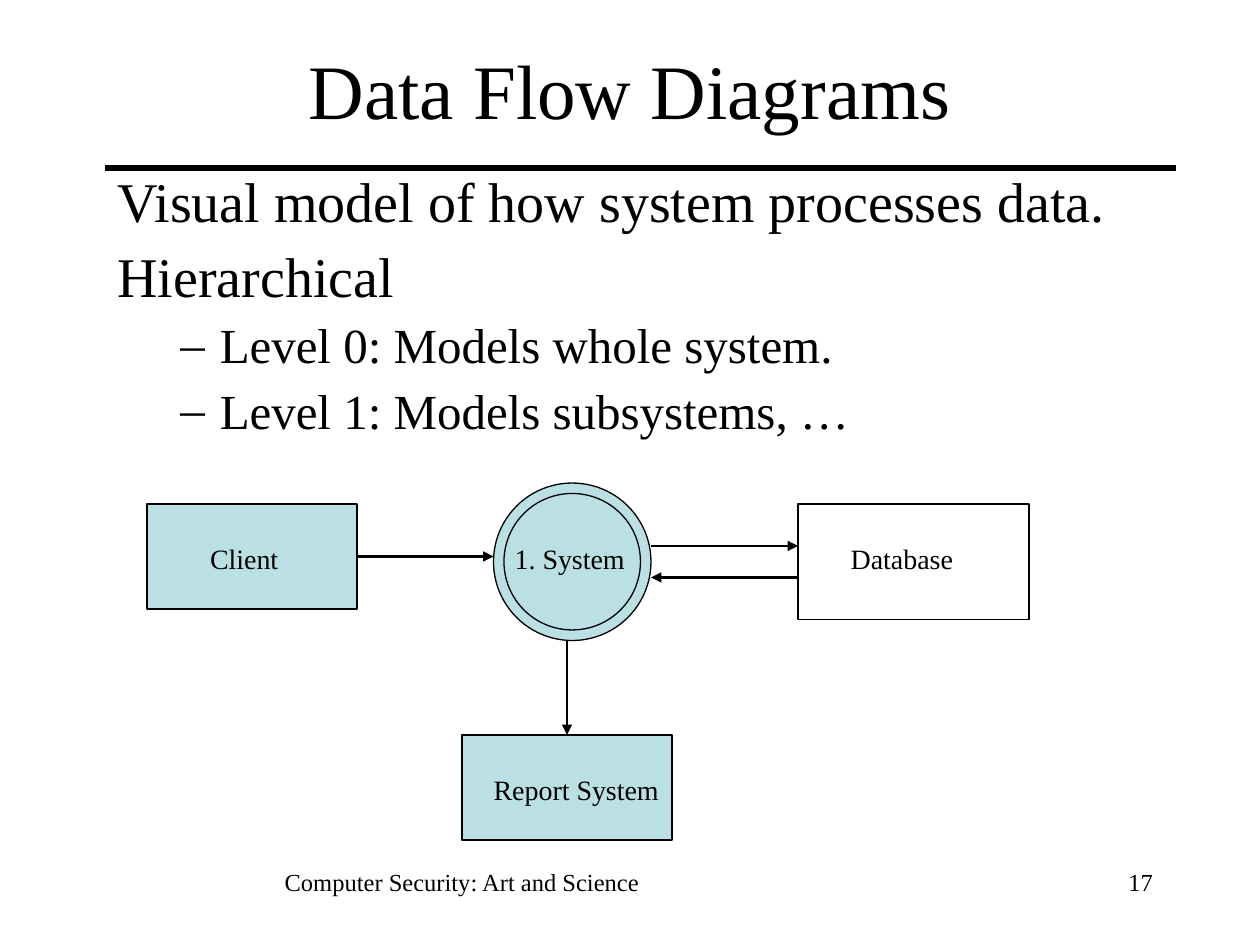
from pptx import Presentation
from pptx.dml.color import RGBColor
from pptx.enum.shapes import MSO_CONNECTOR, MSO_SHAPE
from pptx.enum.text import MSO_ANCHOR, MSO_AUTO_SIZE, PP_ALIGN
from pptx.oxml.ns import qn
from pptx.util import Pt
from lxml import etree

LEFT, CENTER, RIGHT = PP_ALIGN.LEFT, PP_ALIGN.CENTER, PP_ALIGN.RIGHT
TOP, MIDDLE = MSO_ANCHOR.TOP, MSO_ANCHOR.MIDDLE
FIXED, GROW = MSO_AUTO_SIZE.NONE, MSO_AUTO_SIZE.SHAPE_TO_FIT_TEXT
RECT, OVAL = MSO_SHAPE.RECTANGLE, MSO_SHAPE.OVAL
STRAIGHT = MSO_CONNECTOR.STRAIGHT
FONT = "Times New Roman"
BLACK, WHITE, PALE_BLUE = "000000", "FFFFFF", "BBE0E3"
SIDE_TOP, SIDE_RIGHT = 0, 3


def color(hex_string):
    return RGBColor.from_string(hex_string)


def add_run(paragraph, text, size):
    run = paragraph.add_run()
    run.text = text
    for name, value in {"name": FONT, "size": Pt(size)}.items():
        setattr(run.font, name, value)
    run.font.color.rgb = color(BLACK)


def add_frame(slide, box, wrap=True, anchor=TOP, fit=FIXED):
    frame = slide.shapes.add_textbox(*map(Pt, box)).text_frame
    formats = {"word_wrap": wrap, "vertical_anchor": anchor, "auto_size": fit}
    for name, value in formats.items():
        setattr(frame, name, value)
    return frame


def add_text(slide, box, text, size, align=LEFT, **frame_format):
    paragraph = add_frame(slide, box, **frame_format).paragraphs[0]
    paragraph.alignment = align
    add_run(paragraph, text, size)


def add_line(slide, start, end, width, arrow=False):
    line = slide.shapes.add_connector(STRAIGHT, *map(Pt, (*start, *end)))
    line.line.width = Pt(width)
    line.line.color.rgb = color(BLACK)
    properties = line._element.spPr
    if arrow:
        outline = properties.find(qn("a:ln"))
        etree.SubElement(outline, qn("a:tailEnd"), type="triangle")
    etree.SubElement(properties, qn("a:effectLst"))
    return line


def add_node(slide, kind, box, fill, width=0.75):
    node = slide.shapes.add_shape(kind, *map(Pt, box))
    node.shadow.inherit = False
    node.fill.solid()
    node.fill.fore_color.rgb = color(fill)
    node.line.color.rgb = color(BLACK)
    node.line.width = Pt(width)
    return node


def add_heading(slide, box):
    """Title with a heavy rule below it."""
    left, top, width, height = box
    add_line(slide, (60, top + height + 6), (672, top + height + 6), 3)
    add_text(slide, box, "Data Flow Diagrams", 44, CENTER, anchor=MIDDLE)


def add_outline(slide, box):
    points = [
        (0, "Visual model of how system processes data."),
        (0, "Hierarchical"),
        (1, "Level 0: Models whole system."),
        (1, "Level 1: Models subsystems, …"),
    ]
    # Per level: text size, space before, left margin, first-line indent
    levels = [(32, 8, 27, -27), (28, 7, 58.5, -22.5)]
    frame = add_frame(slide, box)
    for index, (level, text) in enumerate(points):
        paragraph = frame.add_paragraph() if index else frame.paragraphs[0]
        size, space, margin, indent = levels[level]
        formats = {"level": level, "line_spacing": 0.9, "space_before": Pt(space)}
        for name, value in formats.items():
            setattr(paragraph, name, value)
        properties = paragraph._p.get_or_add_pPr()
        properties.set("marL", str(Pt(margin)))
        properties.set("indent", str(Pt(indent)))
        if level:
            etree.SubElement(properties, qn("a:buFont"), typeface=FONT)
            etree.SubElement(properties, qn("a:buChar"), char="–")
        else:
            etree.SubElement(properties, qn("a:buNone"))
        add_run(paragraph, text, size)


def add_diagram(slide, box):
    """Data flows between the system process and its neighbours."""
    x, y = box[:2]

    def place(left, top, width, height):
        return x + left, y + top, width, height

    def flow(start, end):
        (x1, y1), (x2, y2) = start, end
        return add_line(slide, (x + x1, y + y1), (x + x2, y + y2), 1.5, arrow=True)

    add_node(slide, OVAL, place(198, 0, 90, 90), PALE_BLUE)
    add_node(slide, OVAL, place(204, 6, 78, 78), PALE_BLUE)
    client = add_node(slide, RECT, place(0, 12, 120, 60), PALE_BLUE, 1.5)
    report = add_node(slide, RECT, place(180, 144, 120, 60), PALE_BLUE)
    add_node(slide, RECT, place(372, 12, 132, 66), WHITE)

    labels = [
        (203, 30, 80, "1. System"),
        (29, 30, 56, "Client"),
        (191, 162, 112, "Report System"),
        (395, 30, 76, "Database"),
    ]
    for left, top, width, text in labels:
        add_text(slide, place(left, top, width, 26.5), text, 16, wrap=False, fit=GROW)

    flow((120, 42), (198, 42)).begin_connect(client, SIDE_RIGHT)
    flow((240, 90), (240, 144)).end_connect(report, SIDE_TOP)
    flow((288, 36), (372, 36))
    flow((372, 54), (288, 54))


def add_footer(slide, box):
    left, top, width, height = box
    add_text(slide, (left, top, 420, height), "Computer Security: Art and Science", 14, CENTER)
    add_text(slide, (left + width - 150, top, 150, height), "17", 14, RIGHT)


def main():
    presentation = Presentation()
    presentation.slide_width, presentation.slide_height = Pt(720), Pt(540)
    slide = presentation.slides.add_slide(presentation.slide_layouts[6])
    add_heading(slide, (54, 12, 612, 78))
    add_outline(slide, (60, 96, 612, 162))
    add_diagram(slide, (84, 276, 504, 204))
    add_footer(slide, (54, 492, 612, 36))
    presentation.save("out.pptx")


if __name__ == "__main__":
    main()
